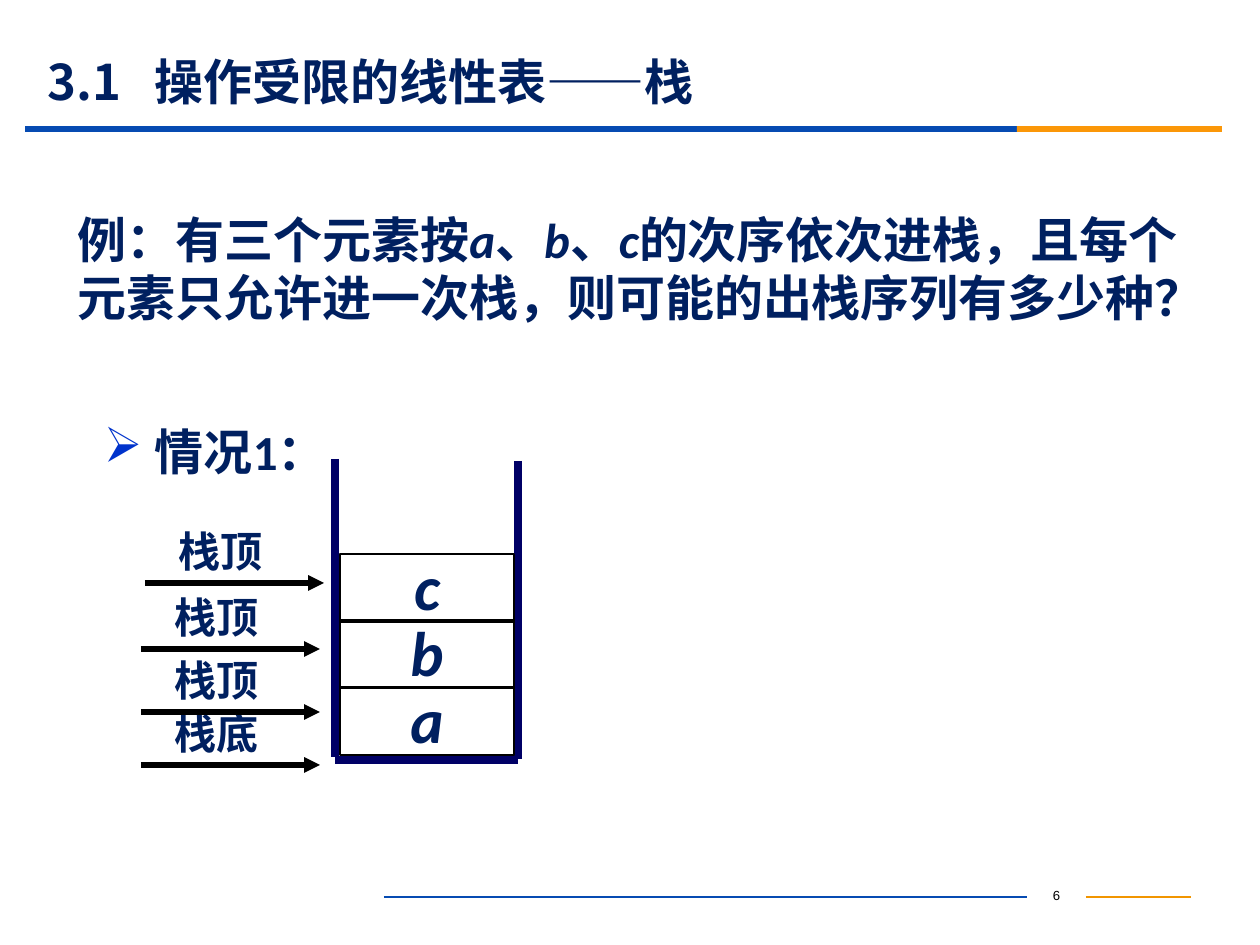
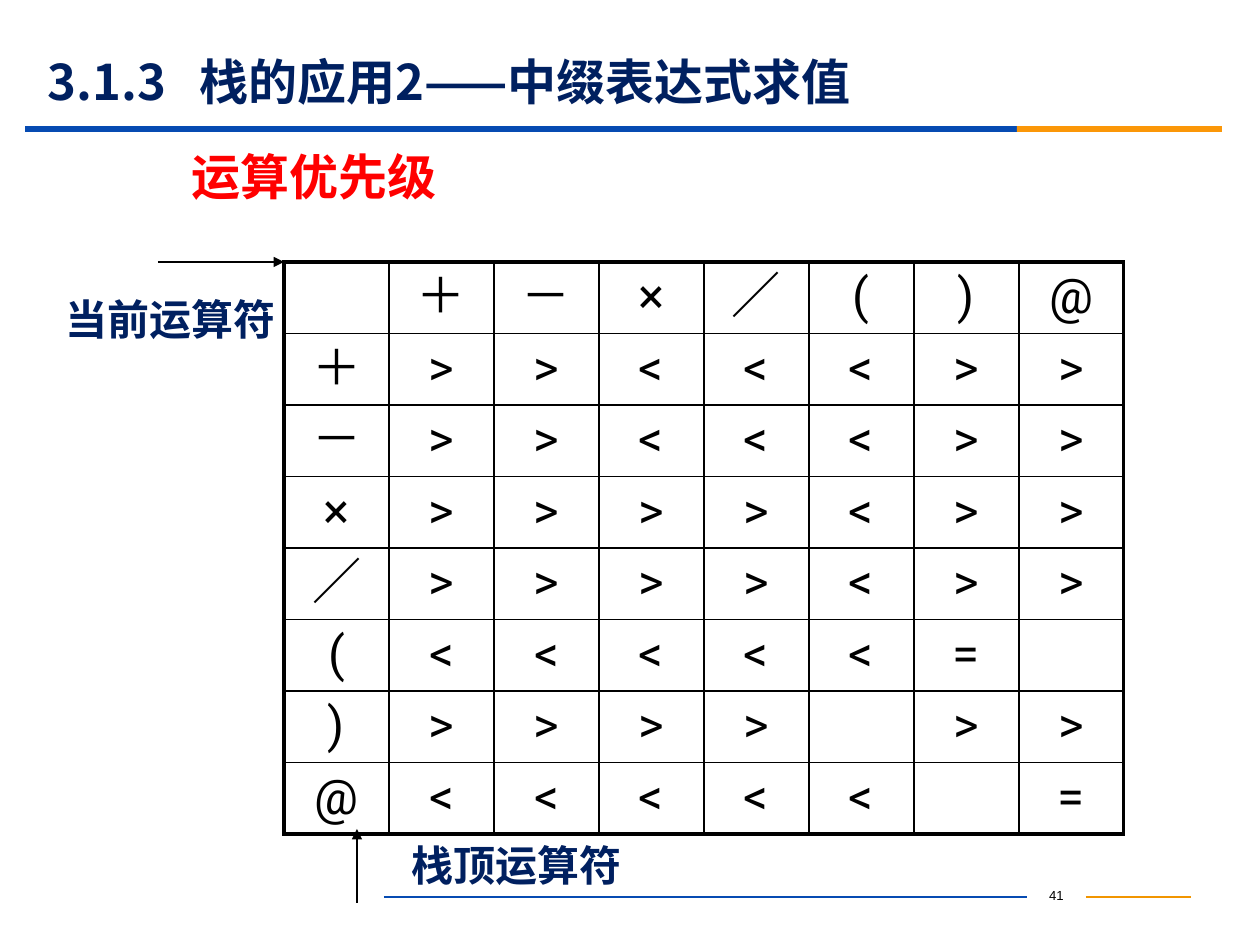
from dataclasses import dataclass
from itertools import groupby

from lxml import etree
from pptx import Presentation
from pptx import util as u
from pptx.dml.color import RGBColor
from pptx.enum import shapes, text
from pptx.oxml.ns import qn

PX_PER_INCH = 126
NAVY, BLACK, RED = "002060", "000000", "FF0000"
BAND_BLUE, BAND_ORANGE, FOOTER_ORANGE = "064BB2", "FB9708", "F19500"
WALL, BULLET = "000066", "0033CC"
CJK, BODY, SYMBOL, FOOTER = "Noto Sans CJK SC", "Calibri", "Roboto", "Arial"
INSETS = (13, 6, 13, 6)


@dataclass(frozen=True)
class Box:
    left: int
    top: int
    width: int
    height: int


@dataclass(frozen=True)
class Segment:
    x1: int
    y1: int
    x2: int
    y2: int


@dataclass(frozen=True)
class Pointer:
    label: str
    x: int
    y: int


@dataclass(frozen=True)
class Element:
    letter: str
    top: int


@dataclass(frozen=True)
class Caption:
    label: str
    box: Box
    size: int
    color: str


BANDS = ((Box(25, 126, 992, 6), BAND_BLUE), (Box(1017, 126, 205, 6), BAND_ORANGE))
STACK_WALLS = (
    Segment(335, 459, 335, 757),
    Segment(335, 760, 518, 760),
    Segment(518, 461, 518, 759),
)
POINTERS = (
    Pointer("栈底", 141, 765),
    Pointer("栈顶", 141, 712),
    Pointer("栈顶", 141, 649),
    Pointer("栈顶", 145, 583),
)
ELEMENTS = (Element("a", 687), Element("b", 620), Element("c", 554))
CAPTIONS = (
    Caption("运算优先级", Box(179, 147, 273, 72), 28, RED),
    Caption("当前运算符", Box(53, 294, 237, 63), 24, NAVY),
    Caption("栈顶运算符", Box(399, 840, 238, 64), 24, NAVY),
)
OPERATORS = "＋－×／()@"
PRECEDENCE = (
    ">><<<>>",
    ">><<<>>",
    ">>>><>>",
    ">>>><>>",
    "<<<<<= ",
    ">>>> >>",
    "<<<<< =",
)
PRECEDENCE_BOX = Box(284, 262, 840, 571)


def px(length: int) -> u.Emu:
    return u.Emu(round(length * u.Inches(1) / PX_PER_INCH))


def rgb(value: str) -> RGBColor:
    return RGBColor.from_string(value)


def place(box: Box) -> tuple:
    return px(box.left), px(box.top), px(box.width), px(box.height)


def write(frame, content: str, *, size: float, font: str = BODY, color: str = NAVY,
          bold: bool = True, italic_letters: str = "", align=text.PP_ALIGN.LEFT,
          anchor=text.MSO_ANCHOR.TOP, wrap: bool = True, insets: tuple = INSETS,
          tab: int = 0, bullet: str = "", hang: int = 0) -> None:
    frame.word_wrap = wrap
    frame.vertical_anchor = anchor
    (frame.margin_left, frame.margin_top,
     frame.margin_right, frame.margin_bottom) = map(px, insets)
    paragraph = frame.paragraphs[0]
    paragraph.alignment = align
    properties = paragraph._p.get_or_add_pPr()
    if bullet:
        properties.set("marL", str(px(hang)))
        properties.set("indent", str(-px(hang)))
        tint = etree.SubElement(properties, qn("a:buClr"))
        etree.SubElement(tint, qn("a:srgbClr"), val=BULLET)
        etree.SubElement(properties, qn("a:buChar"), char=bullet)
    if tab:
        stops = etree.SubElement(properties, qn("a:tabLst"))
        etree.SubElement(stops, qn("a:tab"), pos=str(px(tab)), algn="l")
    for italic, letters in groupby(content, key=lambda letter: letter in italic_letters):
        run = paragraph.add_run()
        run.text = "".join(letters)
        run.font.size = u.Pt(size)
        run.font.bold = bold
        run.font.italic = italic
        run.font.color.rgb = rgb(color)
        run.font.name = font
        east_asian = etree.Element(qn("a:ea"), typeface=font)
        run._r.rPr.find(qn("a:latin")).addnext(east_asian)


def add_text(slide, box: Box, content: str, **style):
    label = slide.shapes.add_textbox(*place(box))
    write(label.text_frame, content, **style)
    return label


def add_line(slide, segment: Segment, color: str, width: float, arrow: bool = False):
    line = slide.shapes.add_connector(
        shapes.MSO_CONNECTOR.STRAIGHT,
        px(segment.x1), px(segment.y1), px(segment.x2), px(segment.y2))
    line.line.color.rgb = rgb(color)
    line.line.width = u.Pt(width)
    properties = line._element.spPr
    if arrow:
        etree.SubElement(properties.find(qn("a:ln")), qn("a:tailEnd"), type="triangle")
    etree.SubElement(properties, qn("a:effectLst"))
    return line


def add_rectangle(slide, box: Box, fill: str = "", outline: str = ""):
    rectangle = slide.shapes.add_shape(shapes.MSO_SHAPE.RECTANGLE, *place(box))
    rectangle.shadow.inherit = False
    if fill:
        rectangle.fill.solid()
        rectangle.fill.fore_color.rgb = rgb(fill)
    else:
        rectangle.fill.background()
    if outline:
        rectangle.line.color.rgb = rgb(outline)
        rectangle.line.width = u.Pt(0.75)
    else:
        rectangle.line.fill.background()
    return rectangle


def add_framed_slide(deck, title: str, title_tab: int, number: int):
    slide = deck.slides.add_slide(deck.slide_layouts[6])
    page = add_text(slide, Box(1027, 881, 59, 32), str(number), size=7.5, font=FOOTER,
                    color=BLACK, bold=False, align=text.PP_ALIGN.CENTER)
    orange_rule = add_line(slide, Segment(1086, 897, 1191, 897), FOOTER_ORANGE, 0.75)
    orange_rule.begin_connect(page, 3)
    blue_rule = add_line(slide, Segment(384, 897, 1027, 897), BAND_BLUE, 0.75)
    blue_rule.end_connect(page, 1)
    for band, color in BANDS:
        add_rectangle(slide, band, fill=color)
    add_text(slide, Box(35, 54, 1134, 54), title, size=28, font=CJK,
             anchor=text.MSO_ANCHOR.MIDDLE, tab=title_tab)
    return slide


def add_cell_borders(cell, widths: dict) -> None:
    properties = cell._tc.get_or_add_tcPr()
    for position, (side, width) in enumerate(widths.items()):
        border = etree.Element(qn(f"a:ln{side}"), w=str(u.Pt(width)))
        fill = etree.SubElement(border, qn("a:solidFill"))
        etree.SubElement(fill, qn("a:srgbClr"), val=BLACK)
        properties.insert(position, border)


def add_precedence_table(slide) -> None:
    rows = [" " + OPERATORS]
    rows += [operator + relations for operator, relations in zip(OPERATORS, PRECEDENCE)]
    count = len(rows)
    last = count - 1
    table = slide.shapes.add_table(count, count, *place(PRECEDENCE_BOX)).table
    table.first_row = False
    table.horz_banding = False
    for column in table.columns:
        column.width = px(PRECEDENCE_BOX.width) // count
    for row in table.rows:
        row.height = px(PRECEDENCE_BOX.height) // count
    for r, symbols in enumerate(rows):
        for c, symbol in enumerate(symbols):
            cell = table.cell(r, c)
            cell.fill.background()
            edges = {"L": c == 0, "R": c == last, "T": r == 0, "B": r == last}
            add_cell_borders(cell, {side: 2.25 if outer else 1
                                    for side, outer in edges.items()})
            if symbol.strip():
                write(cell.text_frame, symbol, size=28, font=SYMBOL, color=BLACK,
                      bold=False, align=text.PP_ALIGN.CENTER)


def build_stack_slide(deck) -> None:
    slide = add_framed_slide(deck, "3.1\t操作受限的线性表——栈", 107, 6)
    add_text(slide, Box(78, 203, 1142, 130),
             "例：有三个元素按a、b、c的次序依次进栈，且每个元素只允许进一次栈，"
             "则可能的出栈序列有多少种？",
             size=28, italic_letters="abc", insets=(0, 6, 0, 6))
    for wall in STACK_WALLS:
        add_line(slide, wall, WALL, 4.5)
    for pointer in POINTERS:
        add_line(slide, Segment(pointer.x, pointer.y, pointer.x + 179, pointer.y),
                 BLACK, 3, arrow=True)
        add_text(slide, Box(pointer.x + 21, pointer.y - 63, 126, 63), pointer.label, size=24)
    for element in ELEMENTS:
        slot = add_rectangle(slide, Box(340, element.top, 174, 68), outline=BLACK)
        write(slot.text_frame, element.letter, size=36, italic_letters=element.letter,
              align=text.PP_ALIGN.CENTER, anchor=text.MSO_ANCHOR.MIDDLE, wrap=False,
              insets=(13, 0, 13, 6))
    add_text(slide, Box(91, 415, 297, 72), "情况1：", size=28, bullet="➢", hang=51)


def build_precedence_slide(deck) -> None:
    slide = add_framed_slide(deck, "3.1.3\t栈的应用2——中缀表达式求值", 152, 41)
    add_precedence_table(slide)
    for caption in CAPTIONS:
        add_text(slide, caption.box, caption.label, size=caption.size, font=CJK,
                 color=caption.color, wrap=False, insets=(13, 0, 13, 0))
    for arrow in (Segment(357, 903, 357, 829), Segment(158, 262, 284, 262)):
        add_line(slide, arrow, BLACK, 0.75, arrow=True)


def main() -> None:
    deck = Presentation()
    deck.slide_width, deck.slide_height = px(1260), px(945)
    build_stack_slide(deck)
    build_precedence_slide(deck)
    deck.save("out.pptx")


if __name__ == "__main__":
    main()
